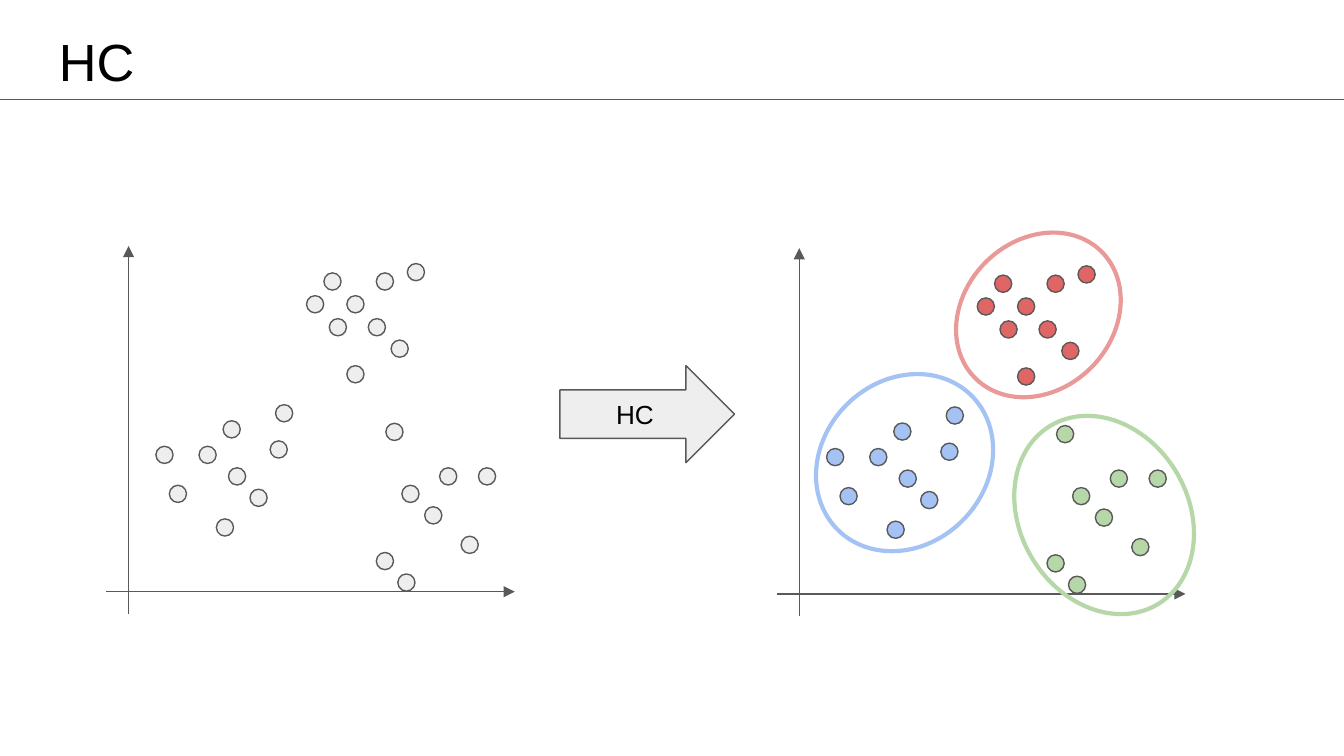
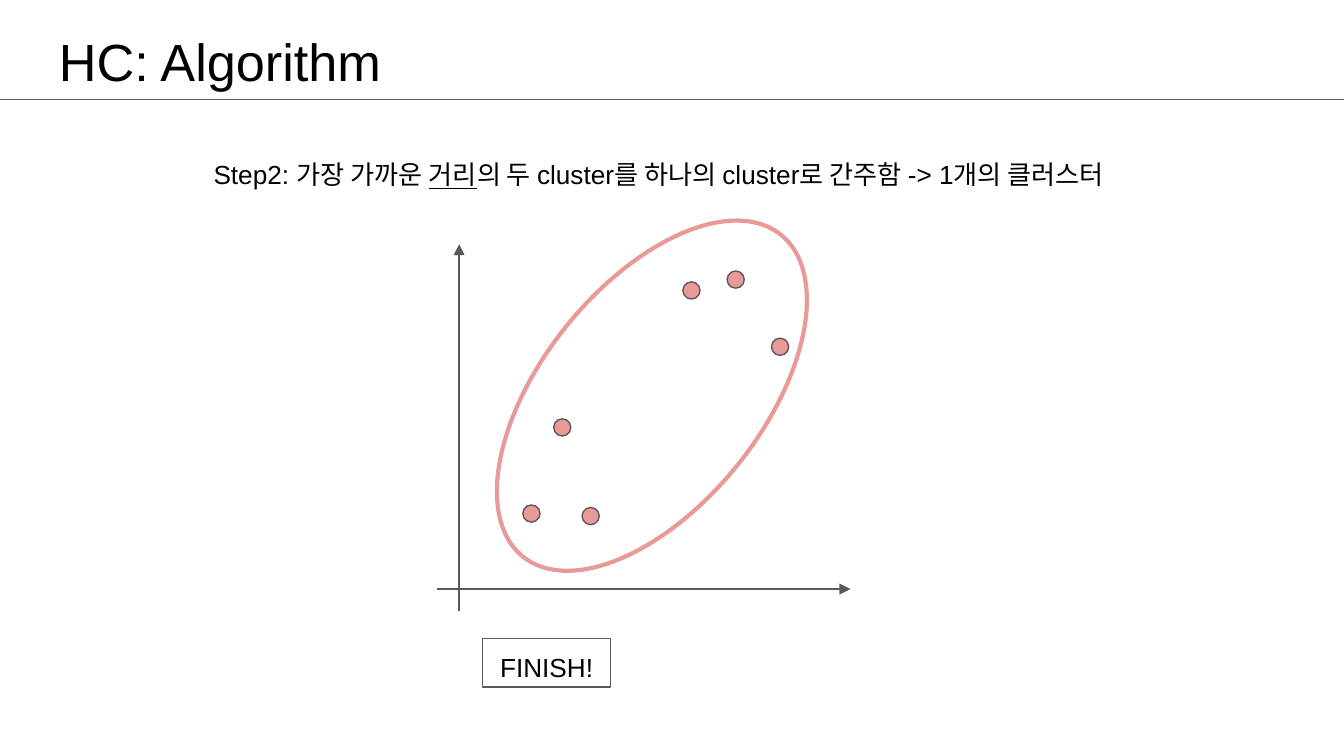
from lxml.etree import SubElement
from pptx import Presentation
from pptx.dml.color import RGBColor
from pptx.enum.shapes import MSO_CONNECTOR, MSO_SHAPE
from pptx.enum.text import MSO_ANCHOR, PP_ALIGN
from pptx.oxml.ns import qn
from pptx.util import Pt

COLORS = {
    "text": "000000", "line": "595959", "neutral": "EEEEEE",
    "red": "E06666", "pink": "EA9999", "blue": "A4C2F4", "green": "B6D7A8",
}
FONT = "Arial"
SLIDE_WIDTH, SLIDE_HEIGHT = 720, 405
INSET = 7.2
DOT_SIZE = 9.2
AXIS_OVERHANG = 12

# Dot positions (left, top) relative to the plot box
RED_DOTS = [(116.6, 14.4), (128.9, 26.6), (140.4, 38.9), (144.7, 14.4), (107.3, 26.6),
            (128.9, 64.1), (161.3, 9.4), (152.6, 50.4), (119.5, 38.9)]
BLUE_DOTS = [(26.6, 107.3), (49.7, 107.3), (65.5, 118.8), (33.8, 128.2), (59, 146.2),
             (62.6, 93.6), (90.7, 85), (77, 130.3), (87.8, 104.4)]
GREEN_DOTS = [(158.4, 128.2), (190.1, 155.5), (199.4, 118.8), (144.7, 164.2),
              (178.6, 118.8), (156.2, 175.7), (170.6, 139.7), (149.8, 95)]
MERGED_DOTS = [(46.1, 139.7), (77.8, 141.1), (62.6, 93.6),
               (179.3, 50.4), (131.8, 20.2), (155.5, 14.4)]


def color(name):
    return RGBColor.from_string(COLORS[name])


def format_runs(paragraph, size):
    for run in paragraph.runs:
        run.font.name = FONT
        run.font.size = Pt(size)
        run.font.color.rgb = color("text")


def prepare_frame(shape, anchor=MSO_ANCHOR.TOP):
    frame = shape.text_frame
    frame.word_wrap = True
    frame.vertical_anchor = anchor
    frame.margin_left = frame.margin_right = Pt(INSET)
    frame.margin_top = frame.margin_bottom = Pt(INSET)
    return frame


def add_outline(slide, kind, box, fill=None, line="line", width=0.75):
    shape = slide.shapes.add_shape(kind, *map(Pt, box))
    shape.shadow.inherit = False
    if fill:
        shape.fill.solid()
        shape.fill.fore_color.rgb = color(fill)
    else:
        shape.fill.background()
    shape.line.color.rgb = color(line)
    shape.line.width = Pt(width)
    return shape


def add_label(slide, kind, box, text, fill=None, anchor=MSO_ANCHOR.TOP):
    shape = add_outline(slide, kind, box, fill)
    frame = prepare_frame(shape, anchor)
    frame.text = text
    frame.paragraphs[0].alignment = PP_ALIGN.CENTER
    format_runs(frame.paragraphs[0], 14)


def add_line(slide, start, end, arrow=False):
    connector = slide.shapes.add_connector(MSO_CONNECTOR.STRAIGHT, *map(Pt, start + end))
    connector.line.color.rgb = color("line")
    connector.line.width = Pt(0.75)
    if arrow:
        SubElement(connector.line._get_or_add_ln(), qn("a:tailEnd"), type="triangle")
    SubElement(connector._element.spPr, qn("a:effectLst"))


def add_header(slide, title):
    shape = slide.shapes.add_textbox(Pt(24.5), Pt(5.8), Pt(671), Pt(45.4))
    frame = prepare_frame(shape)
    frame.margin_top = Pt(10)
    frame.text = title
    format_runs(frame.paragraphs[0], 28)
    add_line(slide, (0, 53.3), (SLIDE_WIDTH, 53.3))


def add_plot(slide, box, clusters, rings=()):
    left, top, width, height = box
    # Axes crossing near the lower left corner
    origin_x = left + AXIS_OVERHANG
    origin_y = top + height - AXIS_OVERHANG
    add_line(slide, (left, origin_y), (left + width, origin_y), arrow=True)
    add_line(slide, (origin_x, top + height), (origin_x, top), arrow=True)
    # Data points
    for fill, dots in clusters:
        for x, y in dots:
            add_outline(slide, MSO_SHAPE.OVAL, (left + x, top + y, DOT_SIZE, DOT_SIZE), fill)
    # Cluster boundaries
    for line, (x, y, ring_width, ring_height), rotation in rings:
        ring = add_outline(slide, MSO_SHAPE.OVAL,
                           (left + x, top + y, ring_width, ring_height), line=line, width=2.25)
        ring.rotation = rotation


def add_step(slide, box, parts):
    frame = prepare_frame(slide.shapes.add_textbox(*map(Pt, box)))
    paragraph = frame.paragraphs[0]
    paragraph.line_spacing = 1.5
    for text, underlined in parts:
        run = paragraph.add_run()
        run.text = text
        run.font.underline = underlined
    format_runs(paragraph, 14)


def build_overview(slide):
    add_header(slide, "HC")
    # Before clustering
    add_plot(slide, (56.9, 131.8, 218.9, 197.2),
             [("neutral", RED_DOTS + BLUE_DOTS + GREEN_DOTS)])
    add_label(slide, MSO_SHAPE.RIGHT_ARROW, (300, 195.9, 93.5, 52), "HC",
              "neutral", MSO_ANCHOR.MIDDLE)
    # After clustering
    add_plot(slide, (416.2, 133, 218.9, 197.2),
             [("red", RED_DOTS), ("blue", BLUE_DOTS), ("green", GREEN_DOTS)],
             [("pink", (100.1, -12.2, 79.9, 95.8), 45),
              ("green", (130.3, 87.1, 90, 111.6), 328.8),
              ("blue", (24.5, 64.1, 87.8, 101.5), 45)])


def build_algorithm(slide):
    add_header(slide, "HC: Algorithm")
    add_plot(slide, (234, 130.8, 221.6, 196.8), [("pink", MERGED_DOTS)],
             [("pink", (56.2, -29.3, 118.1, 221), 38.7)])
    add_step(slide, (107.3, 69.1, 519.8, 34.6), [
        ("Step2: 가장 가까운 ", False),
        ("거리", True),
        ("의 두 cluster를 하나의 cluster로 간주함 -> 1개의 클러스터", False),
    ])
    add_label(slide, MSO_SHAPE.RECTANGLE, (258.6, 342, 68.6, 26.2), "FINISH!")


def main():
    presentation = Presentation()
    presentation.slide_width = Pt(SLIDE_WIDTH)
    presentation.slide_height = Pt(SLIDE_HEIGHT)
    for build in (build_overview, build_algorithm):
        build(presentation.slides.add_slide(presentation.slide_layouts[6]))
    presentation.save("out.pptx")


if __name__ == "__main__":
    main()
